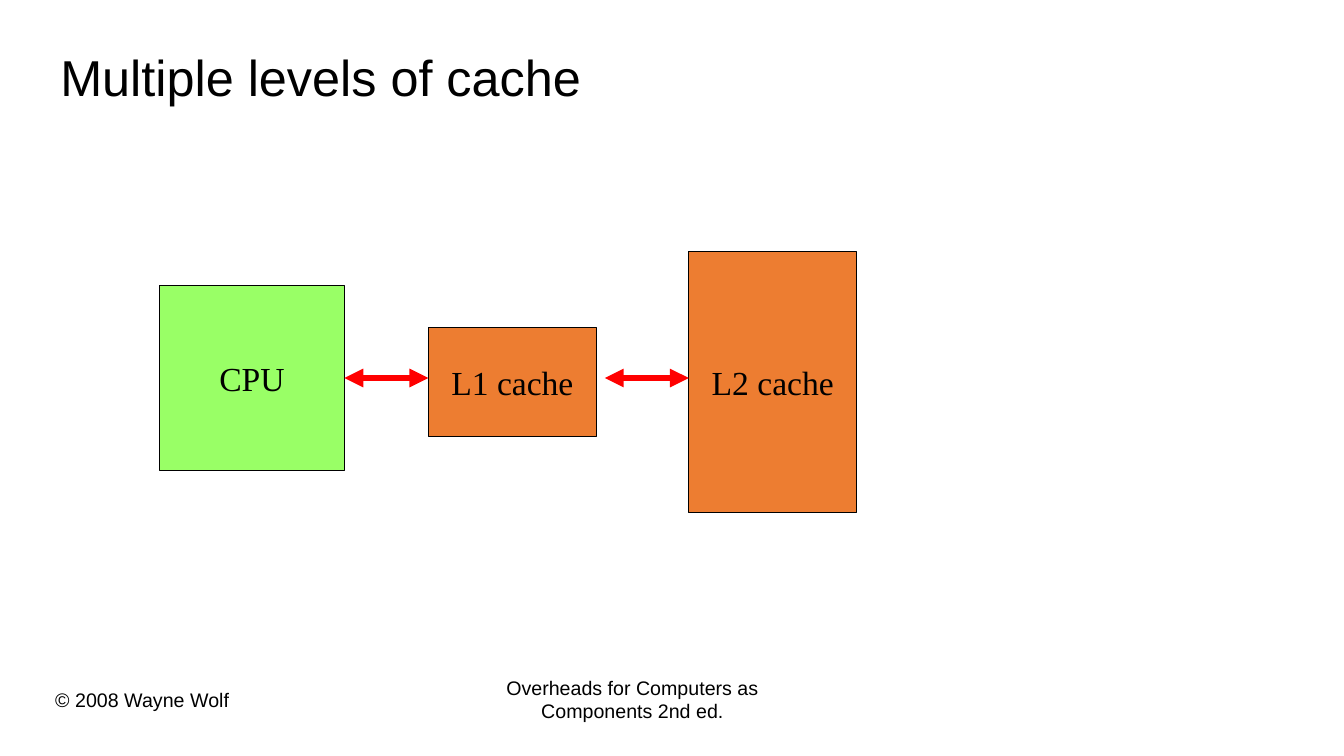
from lxml import etree
from pptx import Presentation
from pptx.dml.color import RGBColor
from pptx.enum import shapes, text
from pptx.oxml.ns import qn
from pptx.util import Pt

BLACK = RGBColor(0x00, 0x00, 0x00)
GREEN = RGBColor(0x99, 0xFF, 0x66)
ORANGE = RGBColor(0xED, 0x7D, 0x31)
RED = RGBColor(0xFF, 0x00, 0x00)

deck = Presentation()
deck.slide_width, deck.slide_height = Pt(960), Pt(540)
page = deck.slides.add_slide(deck.slide_layouts[6])


def write(box, words, font, size, align, anchor, wrap):
    frame = box.text_frame
    frame.text = words
    frame.word_wrap = wrap
    frame.vertical_anchor = anchor
    for para in frame.paragraphs:
        para.alignment = align
        for span in para.runs:
            span.font.name = font
            span.font.size = Pt(size)
            span.font.color.rgb = BLACK


LEFT, CENTER = text.PP_ALIGN.LEFT, text.PP_ALIGN.CENTER
TOP, MIDDLE = text.MSO_ANCHOR.TOP, text.MSO_ANCHOR.MIDDLE

for words, place, size, align, anchor, wrap in [
    ("Multiple levels of cache", (36, 18, 642, 78), 36, LEFT, MIDDLE, True),
    ("© 2008 Wayne Wolf", (32.4, 487.5, 139.7, 24.5), 14, LEFT, TOP, False),
    ("Overheads for Computers as\nComponents 2nd ed.",
     (352, 479, 199.5, 41), 14, CENTER, TOP, False),
]:
    box = page.shapes.add_textbox(*map(Pt, place))
    write(box, words, "Arial", size, align, anchor, wrap)
    if size == 36:
        box.text_frame.paragraphs[0].line_spacing = 0.9

blocks = {}
for label, place, color in [
    ("CPU", (114, 204, 132, 132), GREEN),
    ("L1 cache", (306, 234, 120, 78), ORANGE),
    ("L2 cache", (492, 180, 120, 186), ORANGE),
]:
    block = page.shapes.add_shape(shapes.MSO_SHAPE.RECTANGLE, *map(Pt, place))
    block.shadow.inherit = False
    block.fill.solid()
    block.fill.fore_color.rgb = color
    block.line.color.rgb = BLACK
    block.line.width = Pt(0.75)
    write(block, label, "Times New Roman", 24, CENTER, MIDDLE, False)
    blocks[label] = block

arrows = []
for start in (246, 432):
    arrow = page.shapes.add_connector(
        shapes.MSO_CONNECTOR.STRAIGHT, Pt(start), Pt(270), Pt(start + 60), Pt(270))
    arrow.line.color.rgb = RED
    arrow.line.width = Pt(4.5)
    outline = arrow.line.fill._xPr
    for end in ("a:headEnd", "a:tailEnd"):
        etree.SubElement(outline, qn(end), type="triangle")
    etree.SubElement(arrow._element.spPr, qn("a:effectLst"))
    arrows.append(arrow)
arrows[0].begin_connect(blocks["CPU"], 3)

deck.save("out.pptx")
